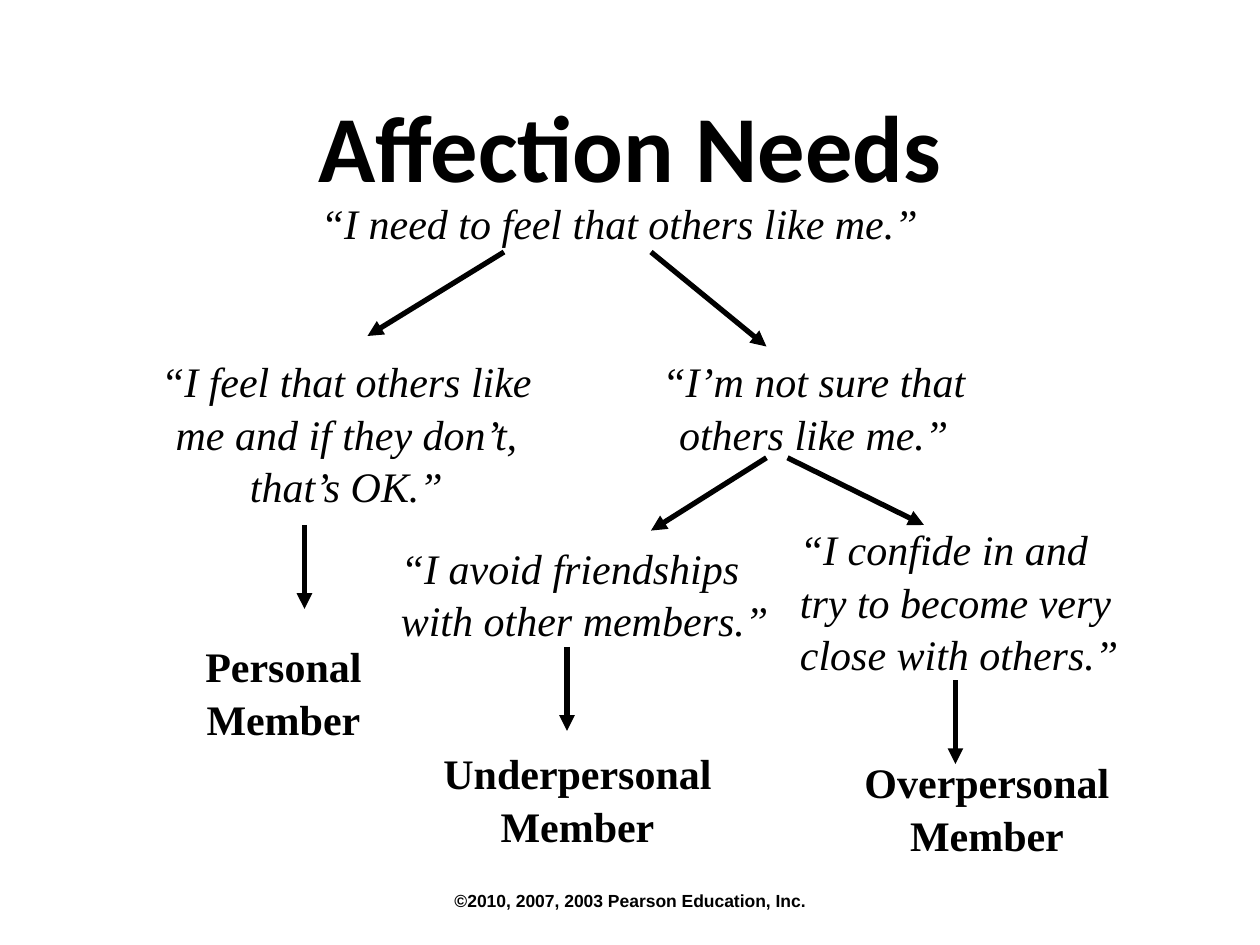
from lxml.etree import SubElement
from pptx import Presentation
from pptx.dml.color import RGBColor
from pptx.enum.shapes import MSO_CONNECTOR
from pptx.enum.text import MSO_ANCHOR, MSO_AUTO_SIZE, PP_ALIGN
from pptx.oxml.ns import qn
from pptx.util import Pt

BLACK = RGBColor(0, 0, 0)
WHITE = RGBColor(255, 255, 255)
SERIF = "Times New Roman"
LEFT = PP_ALIGN.LEFT
CENTER = PP_ALIGN.CENTER


class Board:
    def __init__(self, deck):
        self.slide = deck.slides.add_slide(deck.slide_layouts[5])
        fill = self.slide.background.fill
        fill.solid()
        fill.fore_color.rgb = WHITE

    def style(self, frame, text, face, size, bold, italic, align):
        frame.word_wrap = True
        line = frame.paragraphs[0]
        line.text = text
        line.alignment = align
        font = line.font
        font.name = face
        font.size = Pt(size)
        font.bold = bold
        font.italic = italic
        font.color.rgb = BLACK

    def title(self, text, box):
        shape = self.slide.shapes.title
        shape.left, shape.top, shape.width, shape.height = map(Pt, box)
        frame = shape.text_frame
        frame.auto_size = MSO_AUTO_SIZE.NONE
        frame.vertical_anchor = MSO_ANCHOR.MIDDLE
        self.style(frame, text, "Calibri", 54, True, False, CENTER)

    def label(self, text, box, face=SERIF, size=24, bold=False, italic=False, align=CENTER):
        frame = self.slide.shapes.add_textbox(*map(Pt, box)).text_frame
        self.style(frame, text, face, size, bold, italic, align)
        return frame

    def quote(self, text, box, align=CENTER):
        frame = self.label(text, box, italic=True, align=align)
        frame.paragraphs[0].line_spacing = 1.05

    def member(self, text, box):
        frame = self.label(text, box, bold=True)
        frame.paragraphs[0].line_spacing = 1.05

    def footer(self, text, box):
        frame = self.label(text, box, face="Arial", size=10, bold=True)
        frame.vertical_anchor = MSO_ANCHOR.MIDDLE

    def arrow(self, *ends):
        link = self.slide.shapes.add_connector(MSO_CONNECTOR.STRAIGHT, *map(Pt, ends))
        link.line.color.rgb = BLACK
        link.line.width = Pt(3)
        props = link._element.spPr
        SubElement(props.find(qn("a:ln")), qn("a:tailEnd"), type="triangle")
        SubElement(props, qn("a:effectLst"))


def main():
    deck = Presentation()
    deck.slide_width, deck.slide_height = Pt(720), Pt(540)
    board = Board(deck)

    board.title("Affection Needs", (36, 54, 648, 57.6))
    board.footer("©2010, 2007, 2003 Pearson Education, Inc.", (246, 500.4, 228, 28.8))

    for text, box, align in (
        ("“I need to feel that others like me.”", (150, 108, 408, 36), CENTER),
        ("“I feel that others like me and if they don’t, that’s OK.”", (72, 198, 252, 93.6), CENTER),
        ("“I’m not sure that others like me.”", (348, 198, 234, 64.8), CENTER),
        ("“I avoid friendships with other members.”", (222, 304.8, 252, 64.8), LEFT),
        ("“I confide in and try to become very close with others.”", (450, 294, 204, 93.6), LEFT),
    ):
        board.quote(text, box, align)

    for text, box in (
        ("Personal Member", (90, 361.2, 144, 64.8)),
        ("Underpersonal Member", (234, 422.4, 192, 64.8)),
        ("Overpersonal Member", (474, 427.2, 180, 64.8)),
    ):
        board.member(text, box)

    for ends in (
        (288, 144, 210, 192),
        (372, 144, 438, 198),
        (438, 261.6, 372, 303.2),
        (450, 261.6, 528, 300),
    ):
        board.arrow(*ends)

    for x, y in ((174, 300), (324, 369.6), (546, 388.6)):
        board.arrow(x, y, x, y + 48)

    deck.save("out.pptx")


if __name__ == "__main__":
    main()
